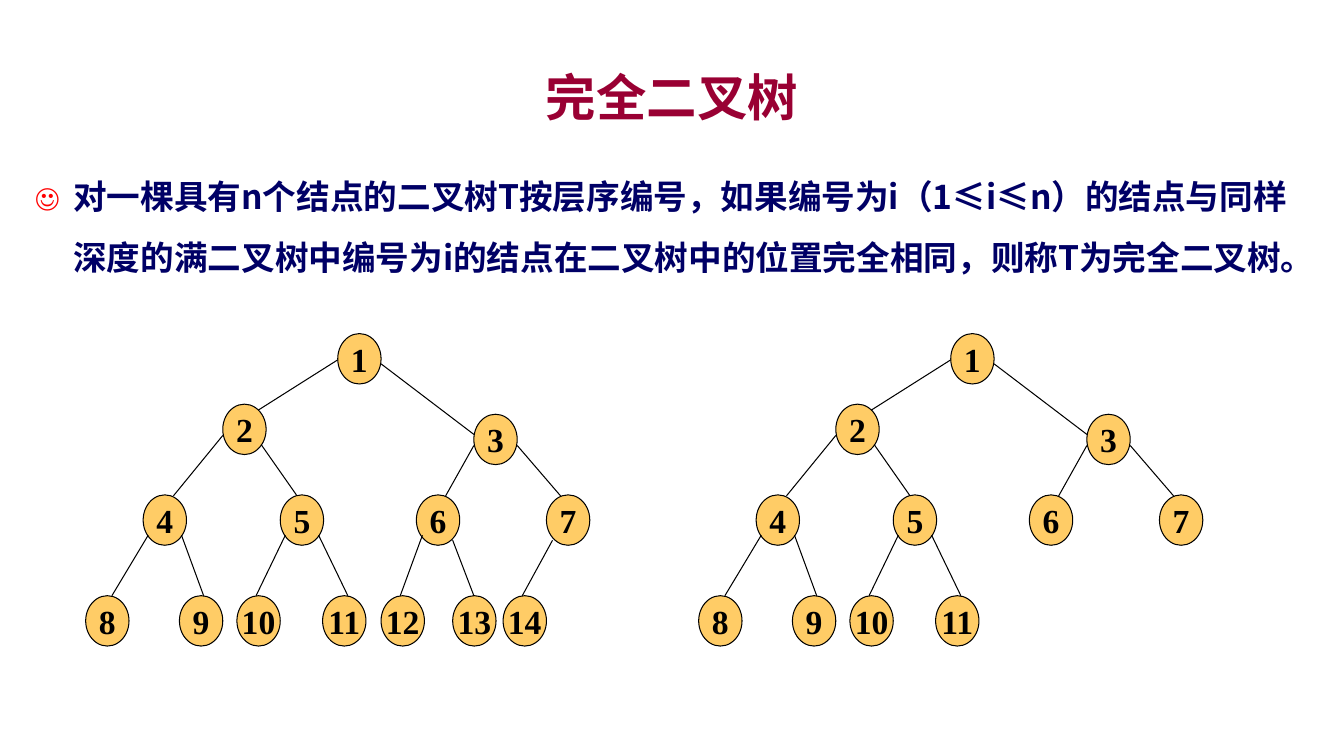
from lxml import etree
from pptx import Presentation
from pptx import util as u
from pptx.dml.color import RGBColor
from pptx.enum import shapes, text
from pptx.oxml.ns import qn

COLORS = {"title": "990033", "body": "000066", "bullet": "FF0000",
          "node": "FFCC66", "ink": "000000"}
CJK_FONT = "Noto Sans CJK SC"
NODE_FONT = "Times New Roman"
NODE_WIDTH, NODE_HEIGHT = 0.43, 0.5
TREE_SHIFT = 6.08
LEAF_TOP = 5.91

# Node number -> left, top
NODES = {
    1: (3.35, 3.31),
    2: (2.21, 4.01), 3: (4.7, 4.11),
    4: (1.42, 4.91), 5: (2.78, 4.91), 6: (4.13, 4.91), 7: (5.42, 4.91),
    **{number: (left, LEAF_TOP) for number, left in
       enumerate((0.85, 1.78, 2.35, 3.2, 3.78, 4.49, 4.99), start=8)},
}
# Child number -> start x, start y, end x, end y of the edge from its parent
EDGES = {
    2: (3.35, 3.57, 2.56, 4.07), 3: (3.78, 3.61, 4.7, 4.31),
    4: (2.21, 4.32, 1.72, 4.92), 5: (2.59, 4.41, 2.94, 4.91),
    6: (4.7, 4.42, 4.42, 4.92), 7: (5.13, 4.42, 5.56, 4.92),
    8: (1.47, 5.31, 1.11, LEAF_TOP), 9: (1.8, 5.31, 2.02, LEAF_TOP),
    10: (2.83, 5.31, 2.54, LEAF_TOP), 11: (3.16, 5.31, 3.45, LEAF_TOP),
    12: (4.19, 5.31, 3.97, LEAF_TOP), 13: (4.49, 5.36, 4.7, LEAF_TOP),
    14: (5.48, 5.36, 5.18, LEAF_TOP),
}


def color(name):
    return RGBColor.from_string(COLORS[name])


def style_text(para, font_name, size, color_name):
    for span in para.runs:
        font = span.font
        font.name, font.size, font.bold = font_name, u.Pt(size), True
        font.color.rgb = color(color_name)
        east_asian = etree.SubElement(span._r.get_or_add_rPr(), qn("a:ea"))
        east_asian.set("typeface", font_name)


def add_text(slide, words, left, top, width, height, size, color_name):
    box = slide.shapes.add_textbox(*map(u.Inches, (left, top, width, height)))
    frame = box.text_frame
    frame.word_wrap = True
    frame.text = words
    style_text(frame.paragraphs[0], CJK_FONT, size, color_name)
    return frame


def add_bullet(para, symbol, indent):
    """Give the paragraph a hanging bullet at 80% of the text size."""
    properties = para._p.get_or_add_pPr()
    properties.set("marL", str(u.Inches(indent)))
    properties.set("indent", str(-u.Inches(indent)))
    bullet_color = etree.SubElement(properties, qn("a:buClr"))
    etree.SubElement(bullet_color, qn("a:srgbClr")).set("val", COLORS["bullet"])
    etree.SubElement(properties, qn("a:buSzPct")).set("val", "80000")
    etree.SubElement(properties, qn("a:buFont")).set("typeface", CJK_FONT)
    etree.SubElement(properties, qn("a:buChar")).set("char", symbol)


def style_line(line):
    line.color.rgb = color("ink")
    line.width = u.Pt(0.75)


def add_node(tree, number, left, top):
    node = tree.shapes.add_shape(
        shapes.MSO_SHAPE.OVAL,
        *map(u.Inches, (left, top, NODE_WIDTH, NODE_HEIGHT)))
    node.shadow.inherit = False
    node.fill.solid()
    node.fill.fore_color.rgb = color("node")
    style_line(node.line)
    frame = node.text_frame
    frame.text = str(number)
    frame.word_wrap = False
    frame.vertical_anchor = text.MSO_ANCHOR.MIDDLE
    para = frame.paragraphs[0]
    para.alignment = text.PP_ALIGN.CENTER
    style_text(para, NODE_FONT, 24, "ink")


def add_edge(tree, start_x, start_y, end_x, end_y):
    edge = tree.shapes.add_connector(
        shapes.MSO_CONNECTOR.STRAIGHT,
        *map(u.Inches, (start_x, start_y, end_x, end_y)))
    style_line(edge.line)
    etree.SubElement(edge._element.spPr, qn("a:effectLst"))


def add_tree(slide, node_count, shift):
    """Draw the first node_count nodes and their edges, moved right by shift."""
    tree = slide.shapes.add_group_shape()
    for number in range(1, node_count + 1):
        left, top = NODES[number]
        add_node(tree, number, left + shift, top)
    for child in range(2, node_count + 1):
        start_x, start_y, end_x, end_y = EDGES[child]
        add_edge(tree, start_x + shift, start_y, end_x + shift, end_y)


def main():
    deck = Presentation()
    deck.slide_width, deck.slide_height = u.Inches(13.33), u.Inches(7.5)
    slide = deck.slides.add_slide(deck.slide_layouts[6])

    title = add_text(slide, "完全二叉树", 1, 0.58, 11.33, 0.75, 36, "title")
    title.vertical_anchor = text.MSO_ANCHOR.MIDDLE
    title.paragraphs[0].alignment = text.PP_ALIGN.CENTER

    definition = add_text(
        slide,
        "对一棵具有n个结点的二叉树T按层序编号，如果编号为i（1≤i≤n）的结点与"
        "同样深度的满二叉树中编号为i的结点在二叉树中的位置完全相同，"
        "则称T为完全二叉树。",
        0.25, 1.46, 12.83, 1.33, 24, "body")
    definition.margin_top = u.Inches(0.08)
    para = definition.paragraphs[0]
    para.line_spacing = u.Pt(43.5)
    para.space_after = u.Pt(6)
    add_bullet(para, "☺", 0.38)

    add_tree(slide, 14, 0)
    add_tree(slide, 11, TREE_SHIFT)
    deck.save("out.pptx")


if __name__ == "__main__":
    main()
